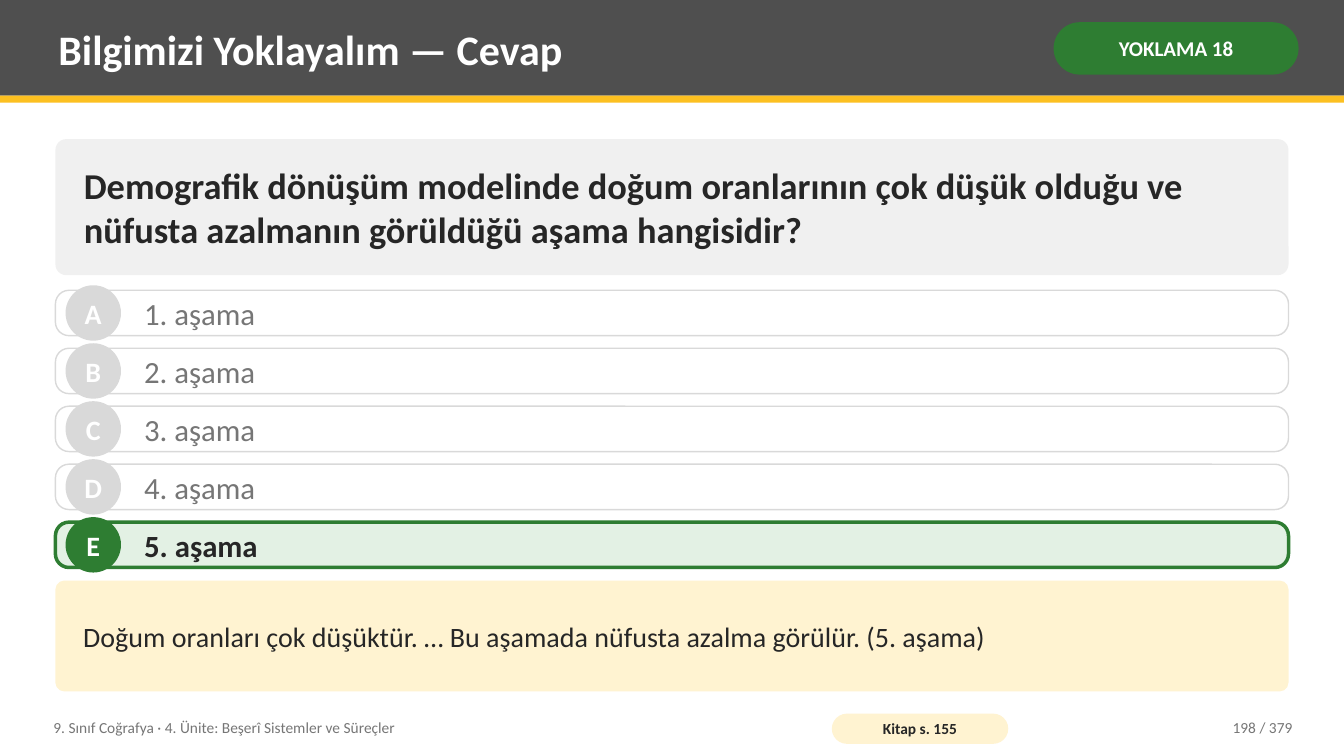
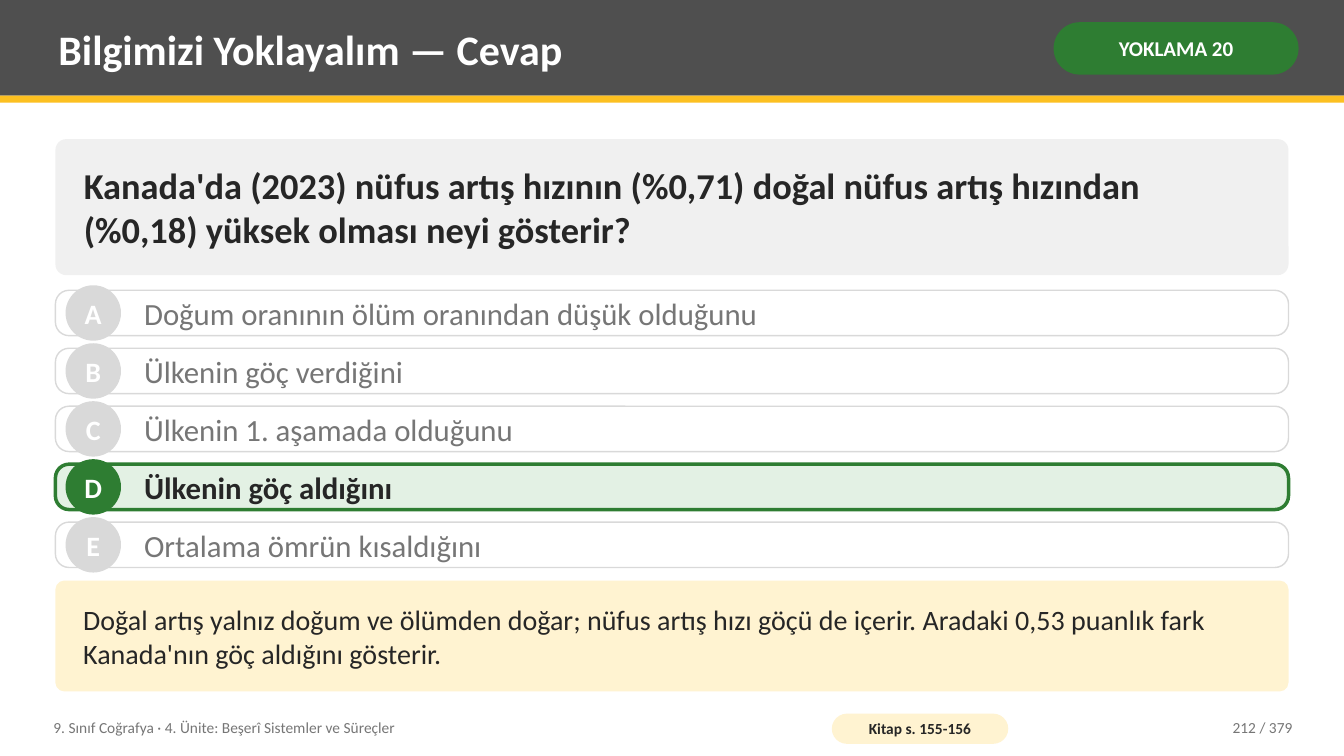
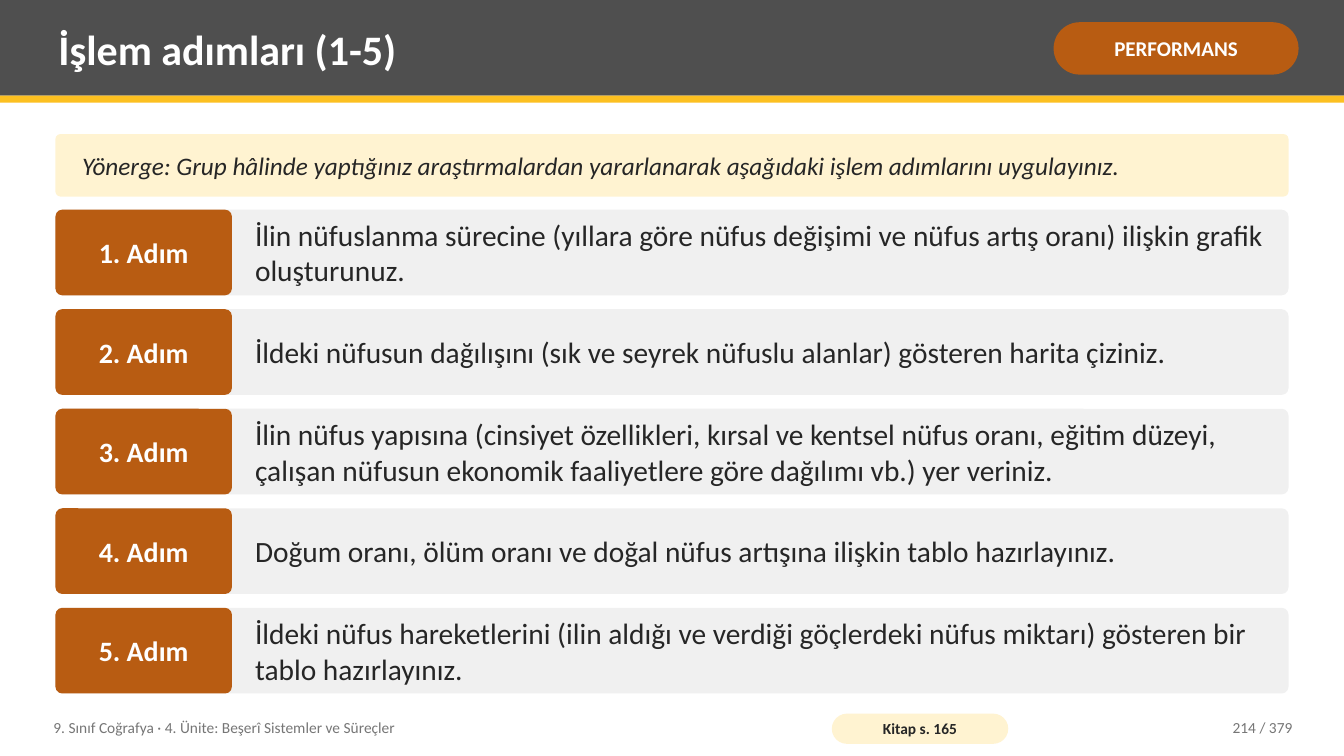
from pptx import Presentation
from pptx.dml.color import RGBColor
from pptx.enum.shapes import MSO_SHAPE
from pptx.enum.text import MSO_ANCHOR, MSO_AUTO_SIZE, PP_ALIGN
from pptx.util import Inches, Pt

RECTANGLE = MSO_SHAPE.RECTANGLE
ROUNDED = MSO_SHAPE.ROUNDED_RECTANGLE
OVAL = MSO_SHAPE.OVAL
LEFT, CENTER, RIGHT = PP_ALIGN.LEFT, PP_ALIGN.CENTER, PP_ALIGN.RIGHT
MIDDLE = MSO_ANCHOR.MIDDLE
NO_AUTOFIT = MSO_AUTO_SIZE.NONE

FONT = "Calibri"
COLORS = {
    "band": "4F4F4F",
    "accent": "FCC021",
    "white": "FFFFFF",
    "text": "262626",
    "muted": "767676",
    "panel": "F0F0F0",
    "border": "D9D9D9",
    "note": "FFF3D1",
    "green": "2E7D32",
    "light_green": "E3F1E4",
    "orange": "B85C12",
}

# Shared measures, in inches
SLIDE_WIDTH, SLIDE_HEIGHT = 13.33, 7.5
MARGIN, CONTENT_WIDTH = 0.55, 12.23
ROW_COUNT = 5
ANSWER_TOP, ANSWER_HEIGHT, CIRCLE_SIZE = 2.88, 0.45, 0.55
ANSWER_PITCH = (5.18 - ANSWER_TOP) / (ROW_COUNT - 1)
STEP_TOP, STEP_HEIGHT, STEP_LABEL_WIDTH = 2.08, 0.85, 1.75
STEP_PITCH = (6.03 - STEP_TOP) / (ROW_COUNT - 1)
PANEL_INSETS = (0.25, 0.08)

FOOTER = "9. Sınıf Coğrafya · 4. Ünite: Beşerî Sistemler ve Süreçler"
TOTAL_PAGES = 379

SLIDES = [
    {
        "title": "Bilgimizi Yoklayalım — Cevap",
        "badge": "YOKLAMA 18",
        "badge_color": "green",
        "question": "Demografik dönüşüm modelinde doğum oranlarının çok düşük olduğu ve "
                    "nüfusta azalmanın görüldüğü aşama hangisidir?",
        "answers": ["1. aşama", "2. aşama", "3. aşama", "4. aşama", "5. aşama"],
        "correct": "E",
        "explanation": "Doğum oranları çok düşüktür. … Bu aşamada nüfusta azalma görülür. (5. aşama)",
        "source": "Kitap s. 155",
        "page": 198,
    },
    {
        "title": "Bilgimizi Yoklayalım — Cevap",
        "badge": "YOKLAMA 20",
        "badge_color": "green",
        "question": "Kanada'da (2023) nüfus artış hızının (%0,71) doğal nüfus artış hızından "
                    "(%0,18) yüksek olması neyi gösterir?",
        "answers": [
            "Doğum oranının ölüm oranından düşük olduğunu",
            "Ülkenin göç verdiğini",
            "Ülkenin 1. aşamada olduğunu",
            "Ülkenin göç aldığını",
            "Ortalama ömrün kısaldığını",
        ],
        "correct": "D",
        "explanation": "Doğal artış yalnız doğum ve ölümden doğar; nüfus artış hızı göçü de içerir. "
                       "Aradaki 0,53 puanlık fark Kanada'nın göç aldığını gösterir.",
        "source": "Kitap s. 155-156",
        "page": 212,
    },
    {
        "title": "İşlem adımları (1-5)",
        "badge": "PERFORMANS",
        "badge_color": "orange",
        "instruction": "Yönerge: Grup hâlinde yaptığınız araştırmalardan yararlanarak "
                       "aşağıdaki işlem adımlarını uygulayınız.",
        "steps": [
            "İlin nüfuslanma sürecine (yıllara göre nüfus değişimi ve nüfus artış oranı) "
            "ilişkin grafik oluşturunuz.",
            "İldeki nüfusun dağılışını (sık ve seyrek nüfuslu alanlar) gösteren harita çiziniz.",
            "İlin nüfus yapısına (cinsiyet özellikleri, kırsal ve kentsel nüfus oranı, eğitim düzeyi, "
            "çalışan nüfusun ekonomik faaliyetlere göre dağılımı vb.) yer veriniz.",
            "Doğum oranı, ölüm oranı ve doğal nüfus artışına ilişkin tablo hazırlayınız.",
            "İldeki nüfus hareketlerini (ilin aldığı ve verdiği göçlerdeki nüfus miktarı) "
            "gösteren bir tablo hazırlayınız.",
        ],
        "source": "Kitap s. 165",
        "page": 214,
    },
]


def write_text(shape, text, size, color="text", bold=False, italic=False,
               align=LEFT, insets=(0.08, 0.04), wrap=True):
    frame = shape.text_frame
    frame.auto_size = NO_AUTOFIT
    frame.word_wrap = wrap
    frame.vertical_anchor = MIDDLE
    frame.margin_left = frame.margin_right = Inches(insets[0])
    frame.margin_top = frame.margin_bottom = Inches(insets[1])
    paragraph = frame.paragraphs[0]
    paragraph.alignment = align
    run = paragraph.add_run()
    run.text = text
    run.font.name = FONT
    run.font.size = Pt(size)
    run.font.bold = bold
    run.font.italic = italic
    run.font.color.rgb = RGBColor.from_string(COLORS[color])


def add_box(slide, left, top, width, height, fill=None, kind=ROUNDED,
            corner=0.08, line=None, line_width=1):
    """Add a filled shape, or a plain text box when there is no fill."""
    place = [Inches(value) for value in (left, top, width, height)]
    if fill is None:
        return slide.shapes.add_textbox(*place)
    shape = slide.shapes.add_shape(kind, *place)
    shape.shadow.inherit = False
    if kind == ROUNDED:
        shape.adjustments[0] = corner
    shape.fill.solid()
    shape.fill.fore_color.rgb = RGBColor.from_string(COLORS[fill])
    if line:
        shape.line.color.rgb = RGBColor.from_string(COLORS[line])
        shape.line.width = Pt(line_width)
    else:
        shape.line.fill.background()
    return shape


presentation = Presentation()
presentation.slide_width = Inches(SLIDE_WIDTH)
presentation.slide_height = Inches(SLIDE_HEIGHT)
title_only = presentation.slide_layouts[5]

for content in SLIDES:
    slide = presentation.slides.add_slide(title_only)

    # Header bands, with the title brought in front of them
    add_box(slide, 0, 0, SLIDE_WIDTH, 0.95, "band", RECTANGLE)
    add_box(slide, 0, 0.95, SLIDE_WIDTH, 0.07, "accent", RECTANGLE)
    title = slide.shapes.title
    title.element.getparent().append(title.element)
    title.left, title.top = Inches(0.5), Inches(0.07)
    title.width, title.height = Inches(9.75), Inches(0.82)
    write_text(title, content["title"], 30, "white", bold=True)
    badge = add_box(slide, 10.45, 0.22, 2.43, 0.52, content["badge_color"], corner=0.5)
    write_text(badge, content["badge"], 15, "white", bold=True, align=CENTER, insets=(0.05, 0.02))

    # Question, answers and explanation
    if "question" in content:
        question = add_box(slide, MARGIN, 1.38, CONTENT_WIDTH, 1.35, "panel")
        write_text(question, content["question"], 26, bold=True, insets=PANEL_INSETS)
        for index, (letter, answer) in enumerate(zip("ABCDE", content["answers"])):
            top = ANSWER_TOP + index * ANSWER_PITCH
            correct = letter == content["correct"]
            strong = "green" if correct else "border"
            add_box(slide, MARGIN, top, CONTENT_WIDTH, ANSWER_HEIGHT,
                    "light_green" if correct else "white", corner=0.3,
                    line=strong, line_width=2.5 if correct else 1)
            circle = add_box(slide, 0.65, top + (ANSWER_HEIGHT - CIRCLE_SIZE) / 2,
                             CIRCLE_SIZE, CIRCLE_SIZE, strong, OVAL)
            write_text(circle, letter, 20, "white", bold=True, align=CENTER,
                       insets=(0, 0), wrap=False)
            label = add_box(slide, 1.35, top, 11.23, ANSWER_HEIGHT)
            write_text(label, answer, 22, "text" if correct else "muted", bold=correct)
        explanation = add_box(slide, MARGIN, 5.76, CONTENT_WIDTH, 1.1, "note")
        write_text(explanation, content["explanation"], 20, insets=PANEL_INSETS)

    # Instruction and numbered steps
    if "steps" in content:
        instruction = add_box(slide, MARGIN, 1.33, CONTENT_WIDTH, 0.62, "note")
        write_text(instruction, content["instruction"], 18, italic=True, insets=PANEL_INSETS)
        for index, step in enumerate(content["steps"]):
            top = STEP_TOP + index * STEP_PITCH
            add_box(slide, MARGIN, top, CONTENT_WIDTH, STEP_HEIGHT, "panel")
            label = add_box(slide, MARGIN, top, STEP_LABEL_WIDTH, STEP_HEIGHT, "orange")
            write_text(label, f"{index + 1}. Adım", 20, "white", bold=True,
                       align=CENTER, insets=(0.06, 0.08))
            description = add_box(slide, 2.45, top, 10.23, STEP_HEIGHT)
            write_text(description, step, 21)

    # Footer
    footer = add_box(slide, 0.45, 7.04, 7.6, 0.36)
    write_text(footer, FOOTER, 11, "muted")
    source = add_box(slide, 8.25, 7.08, 1.75, 0.3, "note", corner=0.5)
    write_text(source, content["source"], 11, bold=True, align=CENTER, insets=(0.04, 0))
    page = add_box(slide, 11.3, 7.04, 1.6, 0.36)
    write_text(page, f"{content['page']} / {TOTAL_PAGES}", 11, "muted", align=RIGHT)

presentation.save("out.pptx")
